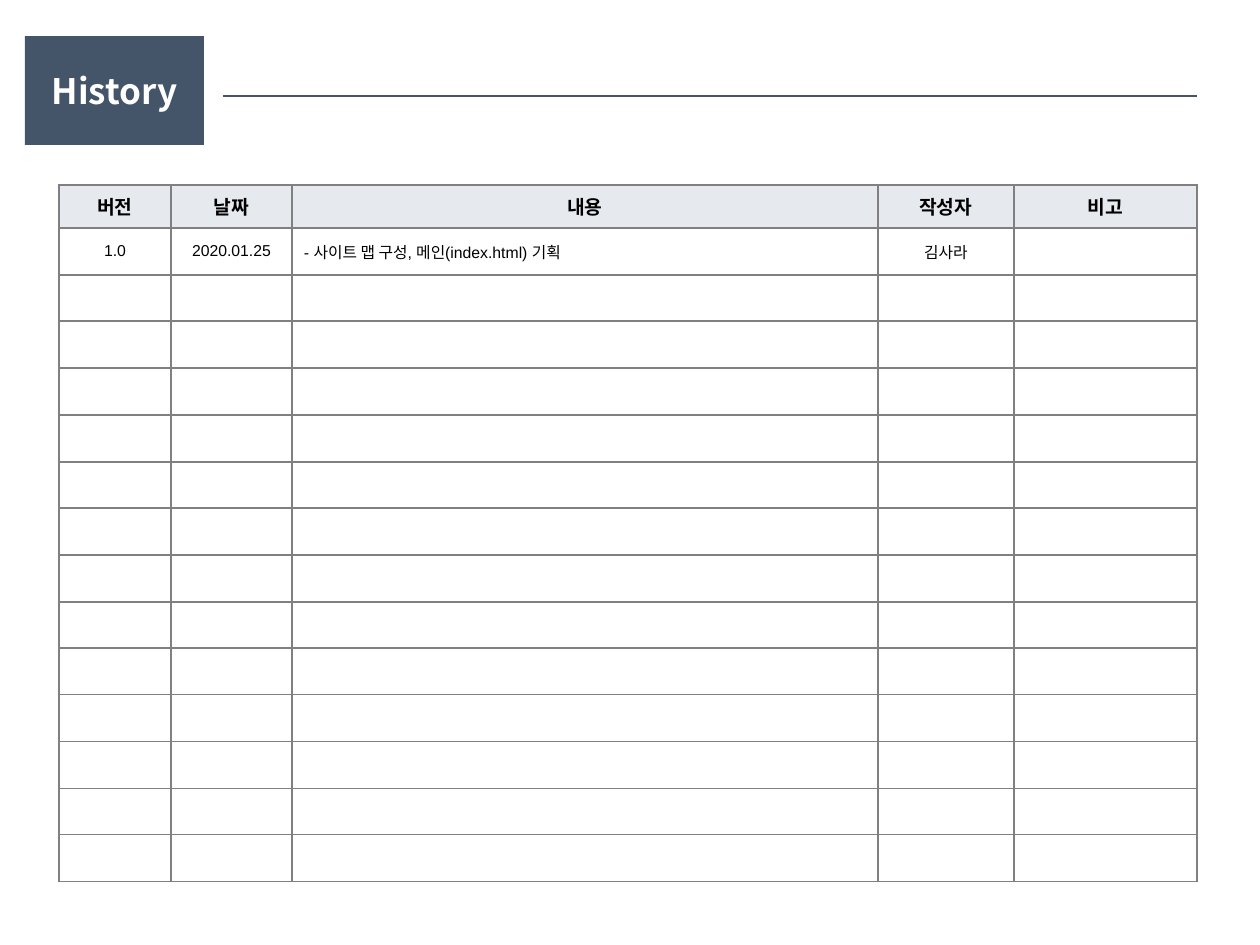
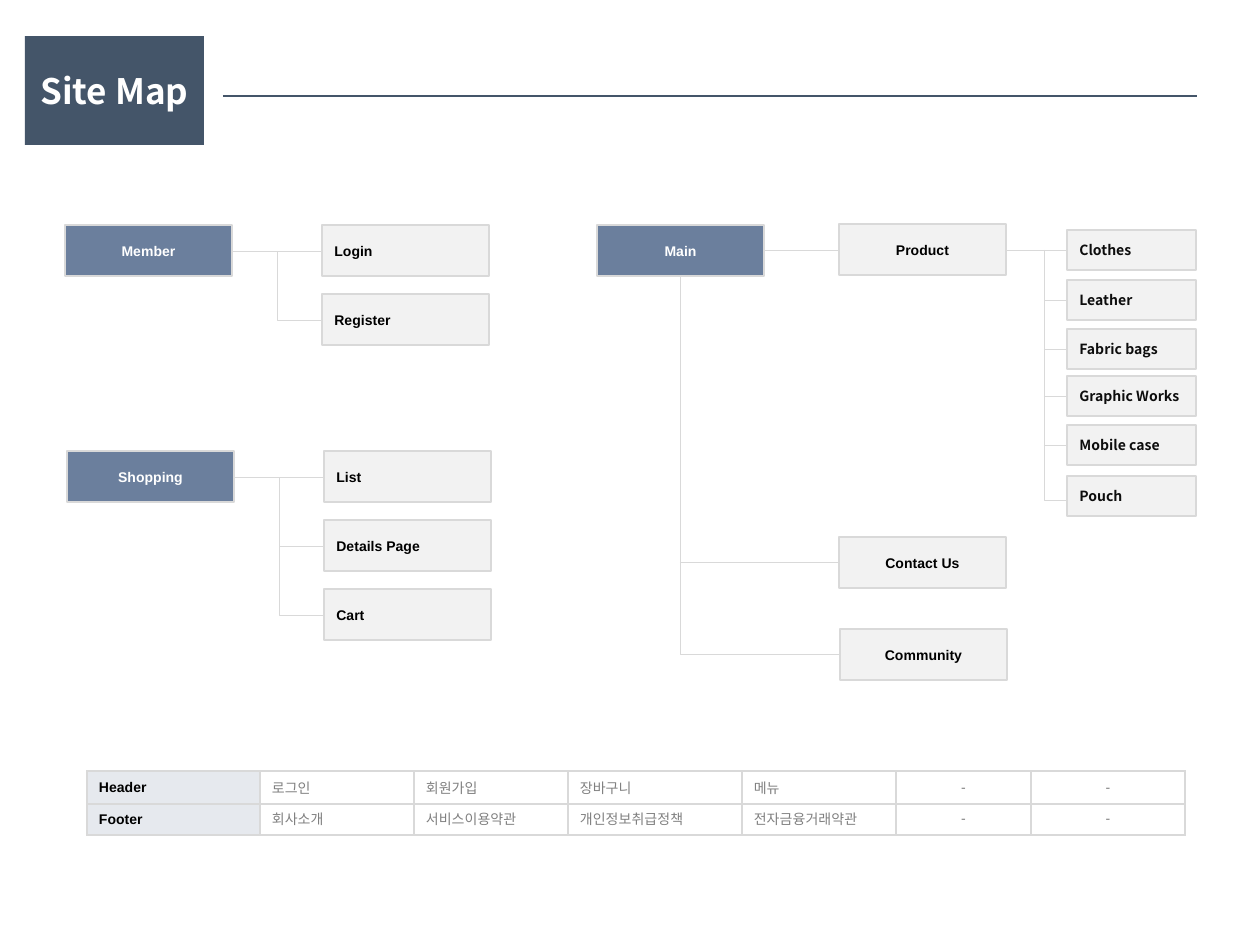
from lxml import etree
from pptx import Presentation
from pptx import util as u
from pptx.dml.color import RGBColor
from pptx.enum import shapes, text
from pptx.oxml import ns

# Content
HISTORY_HEAD = ["버전", "날짜", "내용", "작성자", "비고"]
HISTORY_ROWS = [["1.0", "2020.01.25", "- 사이트 맵 구성, 메인(index.html) 기획", "김사라", ""]]
HISTORY_COLS = [112, 121, 586, 136, 183]
HISTORY_COUNT = 14

# Parent label, its left and top, left of the pages, page labels
PAGE_TREES = [
    ("Member", 65, 225, 322, ["Login", "Register"]),
    ("Shopping", 67, 451, 324, ["List", "Details Page", "Cart"]),
]
MAIN = ("Main", 597, 225)
SECTIONS = [("Product", 839, 224), ("Contact Us", 839, 537), ("Community", 840, 629)]
PRODUCTS = [("Clothes", 230), ("Leather", 280), ("Fabric bags", 329),
            ("Graphic Works", 376), ("Mobile case", 425), ("Pouch", 476)]
PRODUCT_X, PRODUCT_TRUNK_X = 1067, 1044

MENU_ROWS = [
    ["Header", "로그인", "회원가입", "장바구니", "메뉴", "-", "-"],
    ["Footer", "회사소개", "서비스이용약관", "개인정보취급정책", "전자금융거래약관", "-", "-"],
]
MENU_COLS = [173, 154, 154, 174, 154, 135, 154]
MENU_HEIGHTS = [33, 31]

# Shared look
COLORS = {"navy": "445569", "blue": "6B7F9D", "pale": "F2F2F2", "head": "E6E9EE",
          "rule": "D9D9D9", "gray": "808080", "black": "000000", "ink": "0D0D0D",
          "white": "FFFFFF"}
LATIN, KOREAN = "Arial", "Noto Sans CJK KR"
LEFT, CENTER = text.PP_ALIGN.LEFT, text.PP_ALIGN.CENTER
MIDDLE = text.MSO_ANCHOR.MIDDLE
PAGE_SIZE, LEAF_SIZE = (167, 51), (129, 40)
PAGE_PITCH = 69

TITLE = dict(size=20, color="white", name=KOREAN, bold=True)
PARENT = dict(size=8, color="white", name=LATIN, bold=True)
LABEL = dict(PARENT, color="black")
LEAF = dict(PARENT, color="ink", name=KOREAN)
MENU = dict(size=8, color="gray", name=LATIN, bold=False)
HEAD = dict(size=11, color="black", name=LATIN, bold=True)
BODY = dict(HEAD, size=9, bold=False)


def px(n):
    return u.Emu(round(n * 914400 / 126))


def rgb(name):
    return RGBColor.from_string(COLORS[name])


def write(tf, words, fmt, align):
    p = tf.paragraphs[0]
    p.alignment = align
    if not words:
        end = etree.SubElement(p._p, ns.qn("a:endParaRPr"))
        end.set("sz", str(fmt["size"] * 100))
        return p
    r = p.add_run()
    r.text = words
    values = dict(fmt, size=u.Pt(fmt["size"]))
    r.font.color.rgb = rgb(values.pop("color"))
    for key, value in values.items():
        setattr(r.font, key, value)
    etree.SubElement(r.font._element, ns.qn("a:ea")).set("typeface", KOREAN)
    return p


def add_box(s, words, x, y, size, fill, fmt, align=CENTER, line="rule"):
    sp = s.shapes.add_shape(shapes.MSO_SHAPE.RECTANGLE, px(x), px(y), *map(px, size))
    sp.shadow.inherit = False
    sp.fill.solid()
    sp.fill.fore_color.rgb = rgb(fill)
    if line:
        sp.line.color.rgb = rgb(line)
        sp.line.width = u.Pt(0.75)
    else:
        sp.line.fill.background()
    tf = sp.text_frame
    tf.word_wrap = True
    tf.vertical_anchor = MIDDLE
    write(tf, words, fmt, align)


def add_line(s, x1, y1, x2, y2, color="rule", width=0.25, bend=None):
    """Straight line, or an elbow that turns at the share `bend` of its width."""
    kind = shapes.MSO_CONNECTOR.STRAIGHT if bend is None else shapes.MSO_CONNECTOR.ELBOW
    c = s.shapes.add_connector(kind, px(x1), px(y1), px(x2), px(y2))
    c.line.color.rgb = rgb(color)
    c.line.width = u.Pt(width)
    etree.SubElement(c._element.spPr, ns.qn("a:effectLst"))
    if bend is not None:
        guides = c._element.spPr.find(ns.qn("a:prstGeom")).get_or_add_avLst()
        gd = etree.SubElement(guides, ns.qn("a:gd"))
        gd.set("name", "adj1")
        gd.set("fmla", f"val {round(bend * 100000)}")


def add_borders(cell, color):
    tc_pr = cell._tc.get_or_add_tcPr()
    for i, side in enumerate(("lnL", "lnR", "lnT", "lnB")):
        ln = etree.Element(ns.qn("a:" + side), w=str(u.Pt(1)))
        fill = etree.SubElement(ln, ns.qn("a:solidFill"))
        etree.SubElement(fill, ns.qn("a:srgbClr")).set("val", COLORS[color])
        tc_pr.insert(i, ln)


def add_table(s, x, y, cols, heights, border, style):
    """style(row, col) gives words, format, alignment, fill and line spacing."""
    frame = s.shapes.add_table(len(heights), len(cols), px(x), px(y),
                               px(sum(cols)), px(sum(heights)))
    table = frame.table
    table.first_row = table.horz_banding = False
    for col, width in zip(table.columns, cols):
        col.width = px(width)
    for i, height in enumerate(heights):
        table.rows[i].height = px(height)
        for j in range(len(cols)):
            words, fmt, align, fill, spacing = style(i, j)
            cell = table.cell(i, j)
            cell.vertical_anchor = MIDDLE
            cell.margin_left = cell.margin_right = px(12)
            cell.margin_top = cell.margin_bottom = px(5)
            if fill:
                cell.fill.solid()
                cell.fill.fore_color.rgb = rgb(fill)
            else:
                cell.fill.background()
            add_borders(cell, border)
            p = write(cell.text_frame, words, fmt, align)
            if spacing:
                p.line_spacing = spacing


def add_slide(prs, title):
    s = prs.slides.add_slide(prs.slide_layouts[6])
    add_box(s, title, 25, 36, (179, 109), "navy", TITLE, line=None)
    add_line(s, 223, 96, 1197, 96, "navy", 0.75)
    return s


def history_cell(i, j):
    if i == 0:
        return HISTORY_HEAD[j], HEAD, CENTER, "head", None
    words = HISTORY_ROWS[i - 1][j] if i <= len(HISTORY_ROWS) else ""
    return words, BODY, LEFT if j == 2 else CENTER, None, None


def menu_cell(i, j):
    words = MENU_ROWS[i][j]
    if j == 0:
        return words, LABEL, LEFT, "head", None
    return words, MENU, CENTER if words == "-" else LEFT, None, 0.9 if i else None


def add_page_tree(s, parent, x, y, page_x, pages):
    w, h = PAGE_SIZE
    mid = y + h // 2 + 1
    add_box(s, parent, x, y, PAGE_SIZE, "blue", PARENT)
    for i, page in enumerate(pages):
        drop = i * PAGE_PITCH
        add_box(s, page, page_x, y + drop, PAGE_SIZE, "pale", LABEL, LEFT)
        add_line(s, x + w, mid, page_x, mid + drop, bend=0.5 if i else None)


def add_main_tree(s):
    w, h = PAGE_SIZE
    name, x, y = MAIN
    trunk_x = x + w // 2
    add_box(s, name, x, y, PAGE_SIZE, "blue", PARENT)
    for section, sx, sy in SECTIONS:
        add_box(s, section, sx, sy, PAGE_SIZE, "pale", LABEL)
    product, contact, community = [(sx, sy + h // 2) for _, sx, sy in SECTIONS]
    add_line(s, x + w, product[1] + 1, product[0], product[1] + 1)
    add_line(s, trunk_x, contact[1], *contact)
    add_line(s, trunk_x, y + h, *community, bend=0)

    # Product branch: a line to the first, a trunk to the last, stubs between
    top = product[1] + 1
    last = len(PRODUCTS) - 1
    for i, (leaf, ly) in enumerate(PRODUCTS):
        mid = ly + LEAF_SIZE[1] // 2
        add_box(s, leaf, PRODUCT_X, ly, LEAF_SIZE, "pale", LEAF, LEFT)
        if i == 0:
            add_line(s, product[0] + w, top, PRODUCT_X, top)
        elif i == last:
            add_line(s, PRODUCT_TRUNK_X, top, PRODUCT_X, mid + 4, bend=0)
        else:
            add_line(s, PRODUCT_TRUNK_X, mid, PRODUCT_X, mid)


def main():
    prs = Presentation()
    prs.slide_width, prs.slide_height = px(1260), px(945)

    # History
    s = add_slide(prs, "History")
    edges = [round(i * 654 / HISTORY_COUNT) for i in range(HISTORY_COUNT + 1)]
    heights = [43] + [b - a for a, b in zip(edges, edges[1:])]
    add_table(s, 59, 185, HISTORY_COLS, heights, "gray", history_cell)

    # Site map
    s = add_slide(prs, "Site Map")
    add_table(s, 87, 771, MENU_COLS, MENU_HEIGHTS, "rule", menu_cell)
    for tree in PAGE_TREES:
        add_page_tree(s, *tree)
    add_main_tree(s)

    prs.save("out.pptx")


if __name__ == "__main__":
    main()
